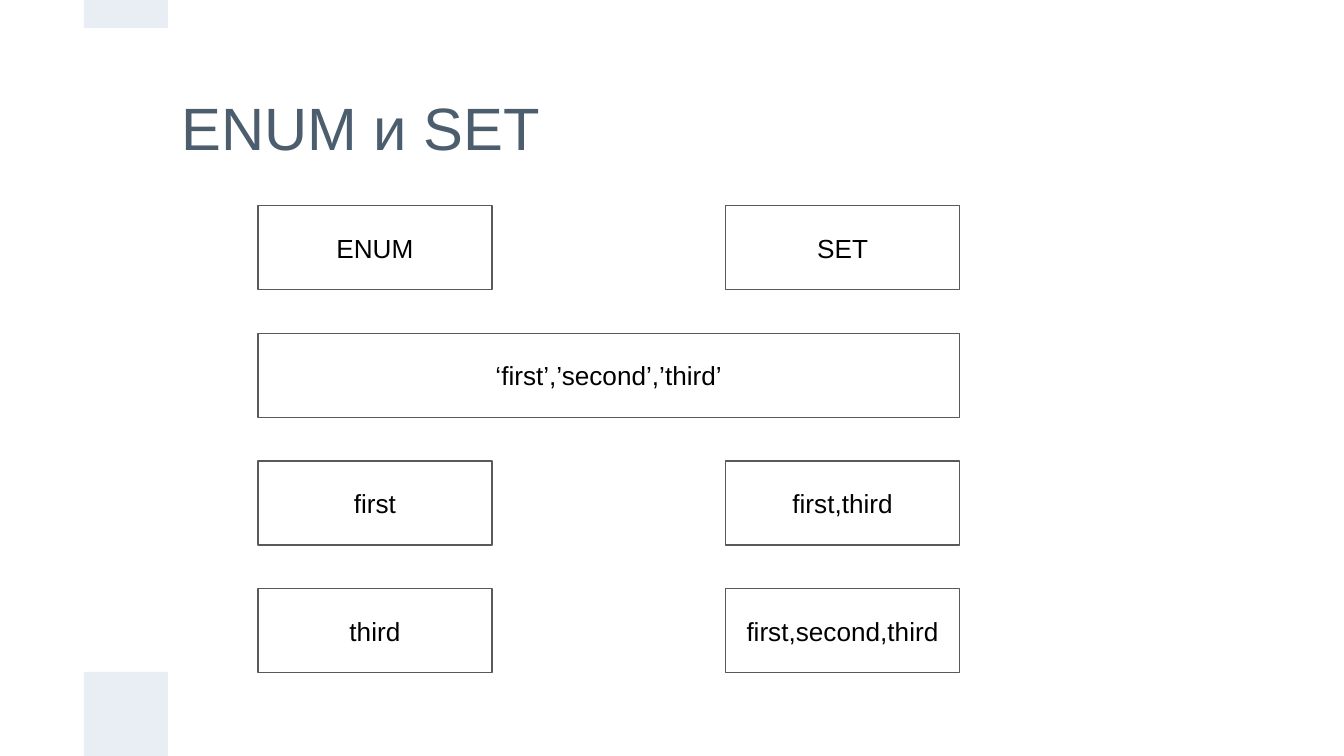
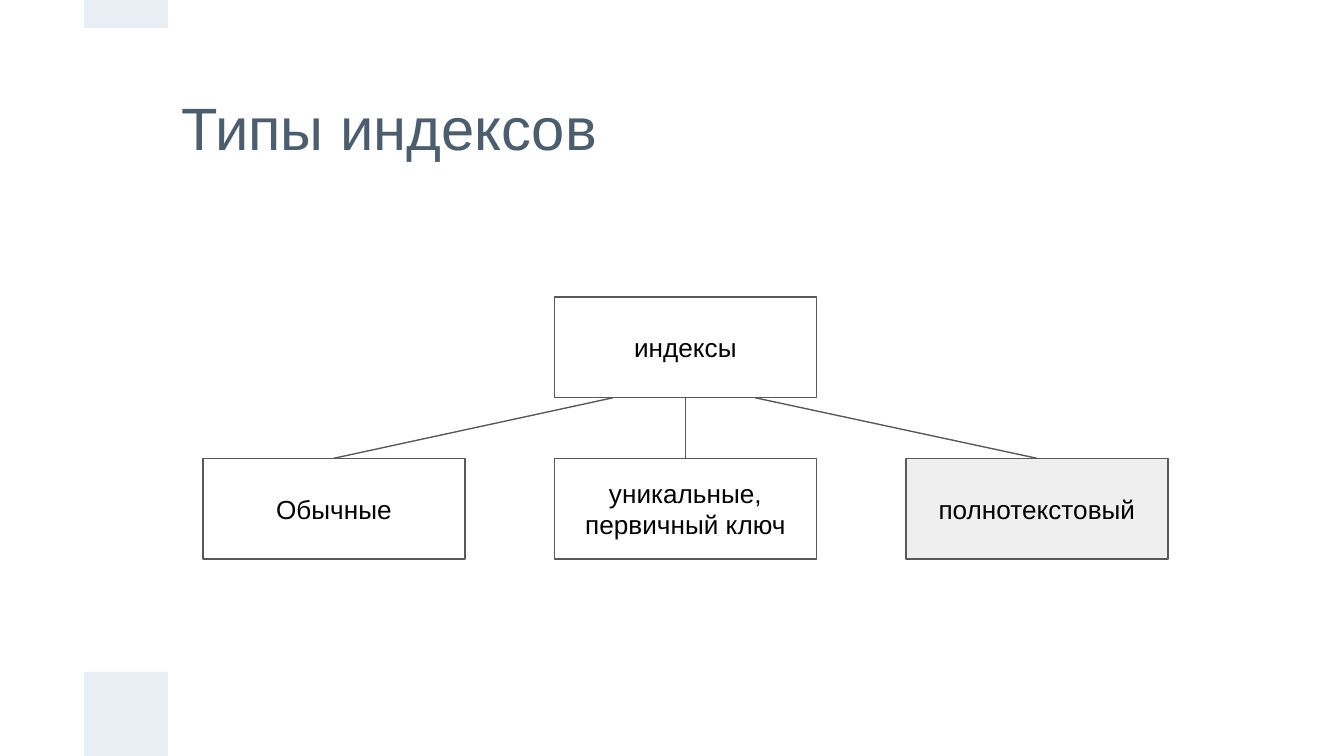
from dataclasses import dataclass
from typing import Optional

from lxml.etree import SubElement
from pptx import Presentation
from pptx.dml.color import RGBColor
from pptx.enum.shapes import MSO_CONNECTOR, MSO_SHAPE
from pptx.enum.text import MSO_ANCHOR, PP_ALIGN
from pptx.oxml.ns import qn
from pptx.slide import Slide
from pptx.text.text import TextFrame
from pptx.util import Inches, Pt

BAND_FILL = RGBColor(0xE9, 0xED, 0xF4)
TITLE_COLOR = RGBColor(0x4C, 0x5D, 0x6E)
OUTLINE = RGBColor(0x59, 0x59, 0x59)
TEXT_COLOR = RGBColor(0x00, 0x00, 0x00)
HIGHLIGHT = RGBColor(0xEF, 0xEF, 0xEF)

FONT = "Arial"
LINE_WIDTH = Pt(0.75)
PADDING = Inches(0.1)
SLIDE_WIDTH = 10
SLIDE_HEIGHT = SLIDE_WIDTH * 9 / 16
BAND_SIZE = SLIDE_WIDTH / 16


@dataclass(frozen=True)
class Box:
    left: float
    top: float
    width: float
    height: float
    lines: tuple[str, ...] = ()
    fill: Optional[RGBColor] = None
    outline: Optional[RGBColor] = OUTLINE


@dataclass(frozen=True)
class Link:
    start_x: float
    start_y: float
    end_x: float
    end_y: float


BANDS = (
    Box(BAND_SIZE, SLIDE_HEIGHT - BAND_SIZE, BAND_SIZE, BAND_SIZE,
        fill=BAND_FILL, outline=None),
    Box(BAND_SIZE, 0, BAND_SIZE, BAND_SIZE / 3, fill=BAND_FILL, outline=None),
)


def write_text(frame: TextFrame, lines: tuple[str, ...], size: int,
               color: RGBColor, align: PP_ALIGN) -> None:
    frame.word_wrap = True
    frame.vertical_anchor = MSO_ANCHOR.MIDDLE
    frame.margin_left = frame.margin_right = PADDING
    frame.margin_top = frame.margin_bottom = PADDING
    for index, line in enumerate(lines):
        para = frame.add_paragraph() if index else frame.paragraphs[0]
        para.alignment = align
        span = para.add_run()
        span.text = line
        span.font.name = FONT
        span.font.size = Pt(size)
        span.font.color.rgb = color


def draw_box(page: Slide, box: Box) -> None:
    shape = page.shapes.add_shape(
        MSO_SHAPE.RECTANGLE, Inches(box.left), Inches(box.top),
        Inches(box.width), Inches(box.height))
    shape.shadow.inherit = False
    if box.fill is None:
        shape.fill.background()
    else:
        shape.fill.solid()
        shape.fill.fore_color.rgb = box.fill
    if box.outline is None:
        shape.line.fill.background()
    else:
        shape.line.color.rgb = box.outline
        shape.line.width = LINE_WIDTH
    if box.lines:
        write_text(shape.text_frame, box.lines, 14, TEXT_COLOR, PP_ALIGN.CENTER)


def draw_link(page: Slide, link: Link) -> None:
    connector = page.shapes.add_connector(
        MSO_CONNECTOR.STRAIGHT, Inches(link.start_x), Inches(link.start_y),
        Inches(link.end_x), Inches(link.end_y))
    connector.line.color.rgb = OUTLINE
    connector.line.width = LINE_WIDTH
    SubElement(connector._element.spPr, qn("a:effectLst"))


def add_page(deck: Presentation, title: str) -> Slide:
    page = deck.slides.add_slide(deck.slide_layouts[6])
    heading = page.shapes.add_textbox(
        Inches(1.25), Inches(0.32), Inches(7.69), Inches(1.25))
    write_text(heading.text_frame, (title,), 32, TITLE_COLOR, PP_ALIGN.LEFT)
    for band in BANDS:
        draw_box(page, band)
    return page


def build_enum_and_set(deck: Presentation) -> None:
    page = add_page(deck, "ENUM и SET")
    enum_left, set_left = 1.92, 5.4
    width, height = 1.74, BAND_SIZE
    first_top, row_step = 1.53, 0.95
    rows = (
        ("ENUM", "SET"),
        ("‘first’,’second’,’third’",),
        ("first", "first,third"),
        ("third", "first,second,third"),
    )
    for index, row in enumerate(rows):
        top = first_top + index * row_step
        row_width = width if len(row) == 2 else set_left + width - enum_left
        for left, label in zip((enum_left, set_left), row):
            draw_box(page, Box(left, top, row_width, height, (label,)))


def build_index_types(deck: Presentation) -> None:
    page = add_page(deck, "Типы индексов")
    width, height = 1.95, 0.75
    first_left, last_left = 1.51, 6.74
    step = (last_left - first_left) / 2
    root_top, child_top = 2.21, 3.41
    root_bottom = root_top + height
    children = (
        (("Обычные",), None, 4.56),
        (("уникальные,", "первичный ключ"), None, 5.1),
        (("полнотекстовый",), HIGHLIGHT, 5.62),
    )
    draw_box(page, Box(first_left + step, root_top, width, height, ("индексы",)))
    for index, (lines, fill, link_x) in enumerate(children):
        left = first_left + index * step
        draw_box(page, Box(left, child_top, width, height, lines, fill))
        draw_link(page, Link(link_x, root_bottom, left + width / 2, child_top))


def main() -> None:
    deck = Presentation()
    deck.slide_width = Inches(SLIDE_WIDTH)
    deck.slide_height = Inches(SLIDE_HEIGHT)
    build_enum_and_set(deck)
    build_index_types(deck)
    deck.save("out.pptx")


if __name__ == "__main__":
    main()
